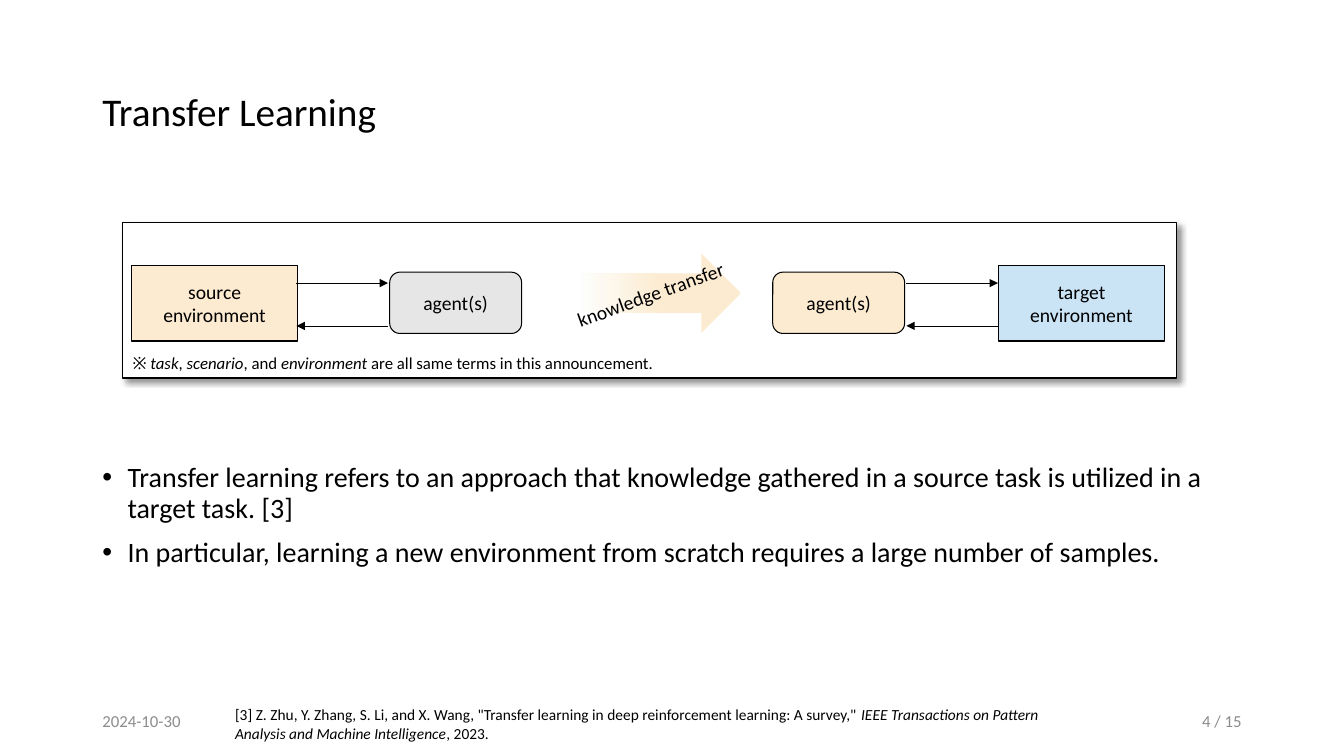
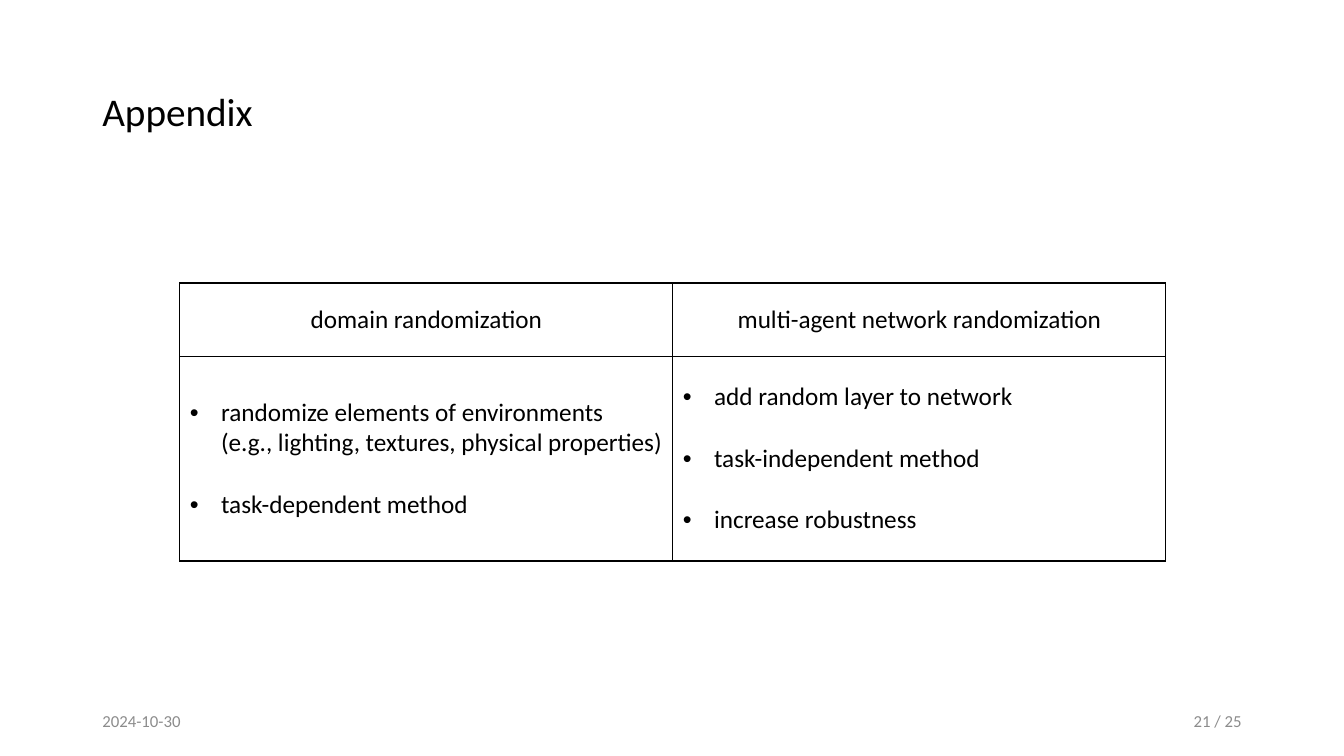
from dataclasses import dataclass

from lxml import etree
from pptx import Presentation
from pptx.dml.color import RGBColor
from pptx.enum.shapes import MSO_CONNECTOR as Connector, MSO_SHAPE as Preset
from pptx.enum.text import MSO_ANCHOR as Anchor, PP_ALIGN as Align
from pptx.oxml import parse_xml
from pptx.oxml.ns import nsdecls, qn
from pptx.util import Inches, Pt

COLUMNS, ROWS = 160, 90  # the slide is divided into square cells


@dataclass(frozen=True)
class Theme:
    font: str = "Calibri"
    ink: str = "000000"
    paper: str = "FFFFFF"
    muted: str = "8C8C8C"
    source: str = "FCEBD1"
    target: str = "CAE4F6"
    neutral: str = "E7E6E6"
    fade: str = "FDFEFC"
    title: int = 28
    body: int = 20
    table: int = 18
    diagram: int = 14
    small: int = 12
    reference: int = 11


def rgb(value):
    return RGBColor.from_string(value)


def apply(target, formats):
    for attribute, value in formats.items():
        setattr(target, attribute, value)


class Deck:
    def __init__(self, theme):
        self.theme = theme
        self.file = Presentation()
        self.file.slide_width, self.file.slide_height = Inches(13.33), Inches(7.5)
        self.cell_width = self.file.slide_width / COLUMNS
        self.cell_height = self.file.slide_height / ROWS

    def x(self, columns):
        return round(columns * self.cell_width)

    def y(self, rows):
        return round(rows * self.cell_height)

    def box(self, left, top, width, height):
        return self.x(left), self.y(top), self.x(width), self.y(height)

    # Slide frame: title, date and page number
    def new_slide(self, title, page):
        self.slide = self.file.slides.add_slide(self.file.slide_layouts[6])
        self.canvas = self.slide.shapes
        self.text((11, 4.8, 138, 17.4), [title], self.theme.title,
                  anchor=Anchor.MIDDLE, line_spacing=0.9)
        for left, words, align in ((11, "2024-10-30", Align.LEFT),
                                   (113, page, Align.RIGHT)):
            self.text((left, 83.4, 36, 4.8), [words], self.theme.small,
                      color=self.theme.muted, anchor=Anchor.MIDDLE, alignment=align)

    def start_group(self):
        self.canvas = self.slide.shapes.add_group_shape().shapes

    # Words between asterisks are italic; a newline breaks the line
    def fill_text(self, frame, paragraphs, size, color=None, indent=0, gap=0, **formats):
        for index, words in enumerate(paragraphs):
            paragraph = frame.add_paragraph() if index else frame.paragraphs[0]
            if indent:
                properties = paragraph._p.get_or_add_pPr()
                properties.set("marL", str(Inches(indent)))
                properties.set("indent", str(-Inches(indent)))
                etree.SubElement(properties, qn("a:buFont")).set("typeface", "Arial")
                etree.SubElement(properties, qn("a:buChar")).set("char", "•")
            apply(paragraph, formats)
            if index and gap:
                paragraph.space_before = Pt(gap)
            for part, piece in enumerate(words.split("*")):
                for row, line in enumerate(piece.split("\n")):
                    if row:
                        paragraph.add_line_break()
                    run = paragraph.add_run()
                    run.text = line
                    apply(run.font, {"name": self.theme.font, "size": Pt(size),
                                     "italic": part % 2 == 1})
                    run.font.color.rgb = rgb(color or self.theme.ink)

    def text(self, place, paragraphs, size, anchor=Anchor.TOP, wrap=True,
             rotation=0, **formats):
        area = self.canvas.add_textbox(*self.box(*place))
        area.rotation = rotation
        apply(area.text_frame, {"word_wrap": wrap, "vertical_anchor": anchor})
        self.fill_text(area.text_frame, paragraphs, size, **formats)

    def shape(self, preset, place, fill, line=0.75, label=None):
        figure = self.canvas.add_shape(preset, *self.box(*place))
        figure.shadow.inherit = False
        figure.fill.solid()
        figure.fill.fore_color.rgb = rgb(fill)
        if line:
            figure.line.color.rgb = rgb(self.theme.ink)
            figure.line.width = Pt(line)
        else:
            figure.line.fill.background()
        if label:
            apply(figure.text_frame, {"word_wrap": True,
                                      "vertical_anchor": Anchor.MIDDLE})
            self.fill_text(figure.text_frame, [label], self.theme.diagram,
                           alignment=Align.CENTER)
        return figure

    def panel(self, place):
        frame = self.shape(Preset.RECTANGLE, place, self.theme.paper, line=1)
        effects = frame._element.spPr.find(qn("a:effectLst"))
        effects.append(parse_xml(
            f'<a:outerShdw {nsdecls("a")} blurRad="{Pt(4)}" dist="{Pt(3)}" '
            f'dir="2700000" algn="tl" rotWithShape="0"><a:srgbClr '
            f'val="{self.theme.ink}"><a:alpha val="40000"/></a:srgbClr></a:outerShdw>'))

    def fading_arrow(self, place):
        arrow = self.shape(Preset.RIGHT_ARROW, place, self.theme.source, line=0)
        arrow.fill.gradient()
        arrow.fill.gradient_angle = 180
        stops = ((0.5, self.theme.source), (1, self.theme.fade))
        for stop, (position, color) in zip(arrow.fill.gradient_stops, stops):
            stop.position = position
            stop.color.rgb = rgb(color)

    def arrow(self, start, end, row):
        link = self.canvas.add_connector(Connector.STRAIGHT, self.x(start), self.y(row),
                                         self.x(end), self.y(row))
        link.line.color.rgb = rgb(self.theme.ink)
        link.line.width = Pt(0.5)
        etree.SubElement(link.line._get_or_add_ln(), qn("a:tailEnd")).set("type", "triangle")
        etree.SubElement(link._element.spPr, qn("a:effectLst"))

    def table(self, left, top, column_width, row_heights, headers, lists):
        place = self.box(left, top, column_width * len(headers), sum(row_heights))
        grid = self.canvas.add_table(len(row_heights), len(headers), *place).table
        apply(grid, {"first_row": False, "horz_banding": False})
        for row, height in zip(grid.rows, row_heights):
            row.height = self.y(height)
        for index, (header, points) in enumerate(zip(headers, lists)):
            grid.columns[index].width = self.x(column_width)
            self.table_cell(grid.cell(0, index), [header], alignment=Align.CENTER)
            self.table_cell(grid.cell(1, index), points, indent=0.31, gap=22)

    def table_cell(self, cell, paragraphs, **formats):
        for side in "LRTB":
            cell._tc.get_or_add_tcPr().append(parse_xml(
                f'<a:ln{side} {nsdecls("a")} w="{Pt(1)}"><a:solidFill><a:srgbClr '
                f'val="{self.theme.ink}"/></a:solidFill></a:ln{side}>'))
        cell.fill.background()
        cell.vertical_anchor = Anchor.MIDDLE
        self.fill_text(cell.text_frame, paragraphs, self.theme.table, **formats)


def transfer_learning(deck):
    theme = deck.theme
    deck.new_slide("Transfer Learning", "4 / 15")
    deck.text((11, 54.6, 136.2, 27.7), [
        "Transfer learning refers to an approach that knowledge gathered in a source "
        "task is utilized in a target task. [3]",
        "In particular, learning a new environment from scratch requires a large "
        "number of samples.",
    ], theme.body, indent=0.25, gap=10, line_spacing=0.9)
    deck.text((26.8, 83.4, 100, 5.6), [
        "[3] Z. Zhu, Y. Zhang, S. Li, and X. Wang, \"Transfer learning in deep "
        "reinforcement learning: A survey,\" *IEEE Transactions on Pattern Analysis "
        "and Machine Intelligence*, 2023.",
    ], theme.reference)

    # Diagram: knowledge moves from the source side to the target side
    deck.start_group()
    deck.panel((14.6, 26.5, 125.5, 18.5))
    deck.fading_arrow((69.2, 30.2, 19, 9.4))
    deck.text((67, 33, 20.9, 4.1), ["knowledge transfer"], theme.diagram,
              wrap=False, rotation=340.1, alignment=Align.CENTER)
    sides = (
        ("source environment", 15.7, theme.source, 46.4, theme.neutral, 35.3),
        ("target environment", 118.9, theme.target, 92, theme.source, 107.9),
    )
    for name, left, fill, agent_left, agent_fill, link_left in sides:
        deck.shape(Preset.RECTANGLE, (left, 31.6, 19.7, 9), fill, label=name)
        deck.shape(Preset.ROUNDED_RECTANGLE, (agent_left, 32.4, 15.7, 7.3),
                   agent_fill, label="agent(s)")
        link_right = link_left + 10.9
        deck.arrow(link_left, link_right, 33.7)
        deck.arrow(link_right, link_left, 38.8)
    deck.text((14.6, 41.4, 66, 3.6), [
        "※ *task*, *scenario*, and *environment* are all same terms in this announcement.",
    ], theme.small)


def appendix(deck):
    deck.new_slide("Appendix", "21 / 25")
    deck.table(21.4, 33.7, 58.7, (8.7, 24.4),
               ("domain randomization", "multi-agent network randomization"),
               (("randomize elements of environments\n"
                 "(e.g., lighting, textures, physical properties)",
                 "task-dependent method"),
                ("add random layer to network", "task-independent method",
                 "increase robustness")))


def main():
    deck = Deck(Theme())
    transfer_learning(deck)
    appendix(deck)
    deck.file.save("out.pptx")


if __name__ == "__main__":
    main()
